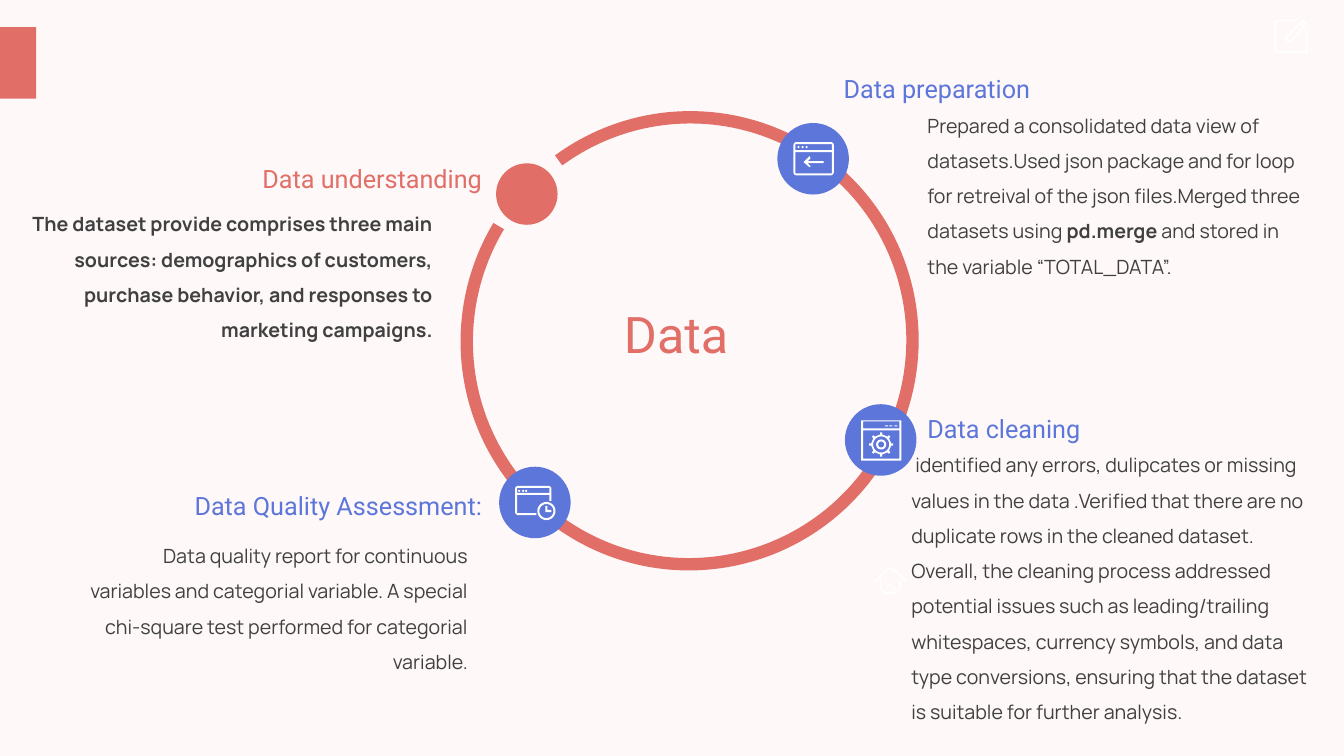
"""Build the slide showing the four data stages around a ring."""
from dataclasses import dataclass
from math import cos, radians, sin

from pptx import Presentation
from pptx import util as u
from pptx.dml.color import RGBColor
from pptx.enum import shapes, text

PX = 9144
LEFT, RIGHT = text.PP_ALIGN.LEFT, text.PP_ALIGN.RIGHT
RECT, OVAL = shapes.MSO_SHAPE.RECTANGLE, shapes.MSO_SHAPE.OVAL
Contour = list[tuple[float, float]]


@dataclass(frozen=True)
class Theme:
    paper: str = "FEF8F8"
    coral: str = "E16E67"
    blue: str = "5D76DA"
    ink: str = "404040"
    white: str = "FFFFFF"
    heading_font: str = "Roboto"
    body_font: str = "Manrope"
    title_pt: int = 36
    heading_pt: int = 18
    body_pt: int = 14


THEME = Theme()


@dataclass(frozen=True)
class Run:
    text: str
    bold: bool = False


@dataclass(frozen=True)
class Label:
    box: tuple[int, int, int, int]
    runs: tuple[Run, ...]
    color: str = THEME.ink
    font: str = THEME.body_font
    size: int = THEME.body_pt
    align: text.PP_ALIGN = LEFT
    spacing: float = 1.5
    indent: int = 0
    grow: bool = True


@dataclass(frozen=True)
class Badge:
    left: int
    top: int
    icon: list[Contour]


def rounded(l: float, t: float, r: float, b: float, rad: float = 0) -> Contour:
    if not rad:
        return [(l, t), (r, t), (r, b), (l, b)]
    corners = ((r - rad, b - rad, 0), (l + rad, b - rad, 90),
               (l + rad, t + rad, 180), (r - rad, t + rad, 270))
    return [(x + rad * cos(radians(a + d)), y + rad * sin(radians(a + d)))
            for x, y, a in corners for d in range(0, 91, 15)]


def disc(x: float, y: float, rad: float) -> Contour:
    return rounded(x - rad, y - rad, x + rad, y + rad, rad)


def gear(x: float, y: float, teeth: int = 8) -> Contour:
    profile = ((-6, 10), (-5, 12), (5, 12), (6, 10))
    return [(x + rad * cos(radians(a + d)), y + rad * sin(radians(a + d)))
            for a in range(0, 360, 360 // teeth) for d, rad in profile]


CLOCK_WINDOW = [
    [(513, 482), (545, 482), (547, 484), (547, 497), (545, 497), (545, 491), (513, 491),
     (513, 509), (532, 509), (532, 511), (513, 511), (511, 509), (511, 484)],
    rounded(513, 484, 545, 489),
    *[disc(x, 487, 1) for x in (515, 519, 522)],
    disc(542, 507, 9), disc(542, 507, 7),
    [(541, 502), (543, 502), (543, 506), (547, 506), (547, 508), (541, 508)],
]
BACK_WINDOW = [
    rounded(787, 141, 827, 174, 3), rounded(789, 143, 825, 149),
    rounded(789, 151, 825, 172),
    *[disc(x, 146, 1) for x in (792, 796, 800)],
    [(797, 161), (803, 155), (804, 157), (801, 160), (817, 160), (817, 162),
     (801, 162), (804, 165), (803, 166)],
]
GEAR_WINDOW = [
    rounded(854, 417, 894, 457), rounded(856, 418, 892, 425),
    rounded(856, 427, 892, 455),
    *[rounded(x, 422, x + 3, 423) for x in (878, 882, 887)],
    gear(874, 441), *[disc(874, 441, rad) for rad in (8, 5, 3)],
]
PENCIL = [
    [(1286, 20), (1264, 20), (1264, 53), (1297, 53), (1297, 31), (1295, 31),
     (1295, 51), (1266, 51), (1266, 21), (1286, 21)],
    [(1292, 19), (1275, 36), (1275, 41), (1280, 42), (1297, 24)],
    [(1280, 40), (1277, 40), (1277, 37), (1289, 25), (1292, 27)],
    [(1295, 25), (1294, 26), (1291, 23), (1292, 22)],
]
HOUSE = [
    [(868, 576), (880, 564), (883, 563), (887, 564), (899, 576), (898, 578),
     (885, 565), (881, 565), (869, 578)],
    [(873, 575), (874, 575), (874, 584), (877, 587), (889, 587), (892, 584),
     (892, 575), (894, 575), (894, 584), (889, 589), (877, 589), (873, 584)],
    [(879, 586), (879, 583), (883, 579), (888, 583), (888, 586), (886, 586),
     (886, 583), (883, 580), (880, 583), (880, 586)],
]
BADGES = (Badge(495, 463, CLOCK_WINDOW), Badge(771, 122, BACK_WINDOW),
          Badge(838, 401, GEAR_WINDOW))


def heading(box: tuple[int, int, int, int], words: str, color: str = THEME.blue,
            align: text.PP_ALIGN = LEFT, size: int = THEME.heading_pt) -> Label:
    return Label(box, (Run(words),), color, THEME.heading_font, size, align, 1)


LABELS = (
    heading((609, 296, 150, 71), "Data", THEME.coral, size=THEME.title_pt),
    heading((910, 405, 276, 40), "Data cleaning"),
    Label((910, 96, 399, 187), (
        Run("Prepared a consolidated data view of datasets.Used json package and for loop "
            "for retreival of the json files.Merged three datasets using "),
        Run("pd.merge ", True),
        Run("and stored in the variable “TOTAL_DATA”."))),
    heading((827, 68, 276, 40), "Data preparation"),
    Label((0, 194, 439, 119), (
        Run("The dataset provide comprises three main sources: demographics of customers, "
            "purchase behavior, and responses to marketing campaigns.", True),),
        align=RIGHT, grow=False),
    heading((39, 482, 449, 40), "Data Quality Assessment:", align=RIGHT),
    Label((894, 433, 430, 266), (
        Run("identified any errors, dulipcates or missing values in the data .Verified that "
            "there are no duplicate rows in the cleaned dataset. Overall, the cleaning "
            "process addressed potential issues such as leading/trailing whitespaces, "
            "currency symbols, and data type conversions, ensuring that the dataset is "
            "suitable for further analysis."),), indent=4, grow=False),
    heading((212, 157, 276, 40), "Data understanding", THEME.coral, RIGHT),
    Label((75, 523, 399, 151), (
        Run("Data quality report for continuous variables and categorial variable. "
            "A special chi-square test performed for categorial variable."),), align=RIGHT),
)


def paint(sp, color: str) -> None:
    sp.shadow.inherit = False
    sp.fill.solid()
    sp.fill.fore_color.rgb = RGBColor.from_string(color)
    sp.line.fill.background()


def add_solid(s, kind: shapes.MSO_SHAPE, box: tuple[int, int, int, int], color: str):
    sp = s.shapes.add_shape(kind, *(v * PX for v in box))
    paint(sp, color)
    return sp


def add_icon(s, contours: list[Contour]) -> None:
    scaled = [[(x * PX, y * PX) for x, y in c] for c in contours]
    fb = s.shapes.build_freeform(*scaled[0][0], scale=1.0)
    fb.add_line_segments(scaled[0][1:], close=True)
    for c in scaled[1:]:
        fb.move_to(*c[0])
        fb.add_line_segments(c[1:], close=True)
    paint(fb.convert_to_shape(), THEME.white)


def add_label(s, label: Label) -> None:
    tf = s.shapes.add_textbox(*(v * PX for v in label.box)).text_frame
    tf.word_wrap = True
    sizing = text.MSO_AUTO_SIZE
    tf.auto_size = sizing.SHAPE_TO_FIT_TEXT if label.grow else sizing.NONE
    p = tf.paragraphs[0]
    p.alignment, p.line_spacing = label.align, label.spacing
    if label.indent:
        p._p.get_or_add_pPr().set("indent", str(label.indent * PX))
    for run in label.runs:
        r = p.add_run()
        r.text = run.text
        r.font.name, r.font.size, r.font.bold = label.font, u.Pt(label.size), run.bold
        r.font.color.rgb = RGBColor.from_string(label.color)


def main() -> None:
    prs = Presentation()
    prs.slide_width, prs.slide_height = 1333 * PX, 750 * PX
    s = prs.slides.add_slide(prs.slide_layouts[6])
    s.background.fill.solid()
    s.background.fill.fore_color.rgb = RGBColor.from_string(THEME.paper)
    add_icon(s, PENCIL)
    add_solid(s, RECT, (0, 27, 36, 71), THEME.coral)
    ring = add_solid(s, shapes.MSO_SHAPE.BLOCK_ARC, (457, 110, 454, 456), THEME.coral)
    ring.rotation = 204
    for i, value in enumerate((18.01, 4.2, 0.027)):
        ring.adjustments[i] = value
    for badge in BADGES:
        add_solid(s, OVAL, (badge.left, badge.top, 71, 71), THEME.blue)
        add_icon(s, badge.icon)
    add_icon(s, HOUSE)
    add_solid(s, OVAL, (492, 162, 61, 61), THEME.coral)
    for label in LABELS:
        add_label(s, label)
    prs.save("out.pptx")


if __name__ == "__main__":
    main()
